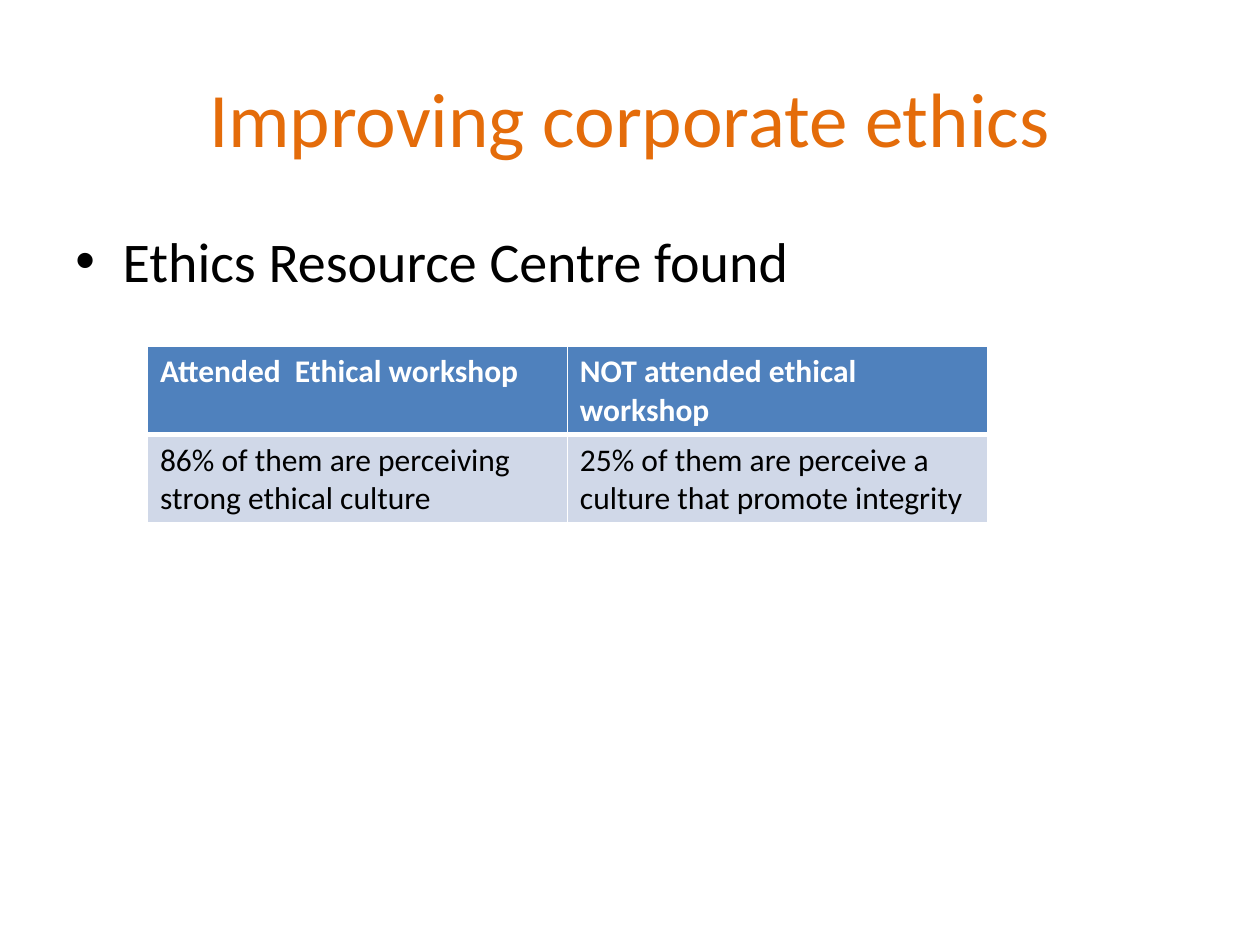
"""Build the slide on improving corporate ethics."""
from lxml import etree
from pptx import Presentation
from pptx.dml.color import RGBColor
from pptx.enum.text import MSO_ANCHOR, PP_ALIGN
from pptx.oxml.ns import qn
from pptx.util import Pt

CENTER = PP_ALIGN.CENTER
MIDDLE = MSO_ANCHOR.MIDDLE
ORANGE = RGBColor(0xE4, 0x6C, 0x0A)
BLACK = RGBColor(0, 0, 0)
WHITE = RGBColor(255, 255, 255)
BLUE = RGBColor(0x4F, 0x81, 0xBD)
PALE = RGBColor(0xD0, 0xD8, 0xE8)


def style(para, size, color, bold=False):
    for run in para.runs:
        run.font.name = "Calibri"
        run.font.size = Pt(size)
        run.font.bold = bold
        run.font.color.rgb = color


def edge(props, side, width):
    line = etree.Element(qn("a:" + side), w=str(Pt(width)))
    fill = etree.SubElement(line, qn("a:solidFill"))
    etree.SubElement(fill, qn("a:srgbClr"), val=str(WHITE))
    return line


deck = Presentation()
deck.slide_width = Pt(720)
deck.slide_height = Pt(540)
slide = deck.slides.add_slide(deck.slide_layouts[6])

title = slide.shapes.add_textbox(Pt(36), Pt(21.6), Pt(648), Pt(90))
frame = title.text_frame
frame.word_wrap = True
frame.vertical_anchor = MIDDLE
frame.text = "Improving corporate ethics"
para = frame.paragraphs[0]
para.alignment = CENTER
style(para, 44, ORANGE)

body = slide.shapes.add_textbox(Pt(36), Pt(126), Pt(648), Pt(356.4))
frame = body.text_frame
frame.word_wrap = True
frame.text = "Ethics Resource Centre found"
para = frame.paragraphs[0]
para.space_before = Pt(6.4)
style(para, 32, BLACK)
props = para._p.get_or_add_pPr()
props.set("marL", str(Pt(27)))
props.set("indent", str(Pt(-27)))
etree.SubElement(props, qn("a:buFont"), typeface="Arial")
etree.SubElement(props, qn("a:buChar"), char="•")

rows = [
    (["Attended  Ethical workshop", "NOT attended ethical workshop"],
     BLUE, WHITE, True, 3),
    (["86% of them are perceiving strong ethical culture",
      "25% of them are perceive a culture that promote integrity"],
     PALE, BLACK, False, 1),
]
table = slide.shapes.add_table(
    2, 2, Pt(84.24), Pt(198), Pt(480), Pt(100.8)).table
for r, (texts, fill, ink, bold, base) in enumerate(rows):
    top = 3 if r else 1
    for c, text in enumerate(texts):
        cell = table.cell(r, c)
        cell.text_frame.text = text
        style(cell.text_frame.paragraphs[0], 18, ink, bold)
        cell.fill.solid()
        cell.fill.fore_color.rgb = fill
        props = cell._tc.get_or_add_tcPr()
        sides = [("lnL", 1), ("lnR", 1), ("lnT", top), ("lnB", base)]
        for spot, (side, width) in enumerate(sides):
            props.insert(spot, edge(props, side, width))

deck.save("out.pptx")
